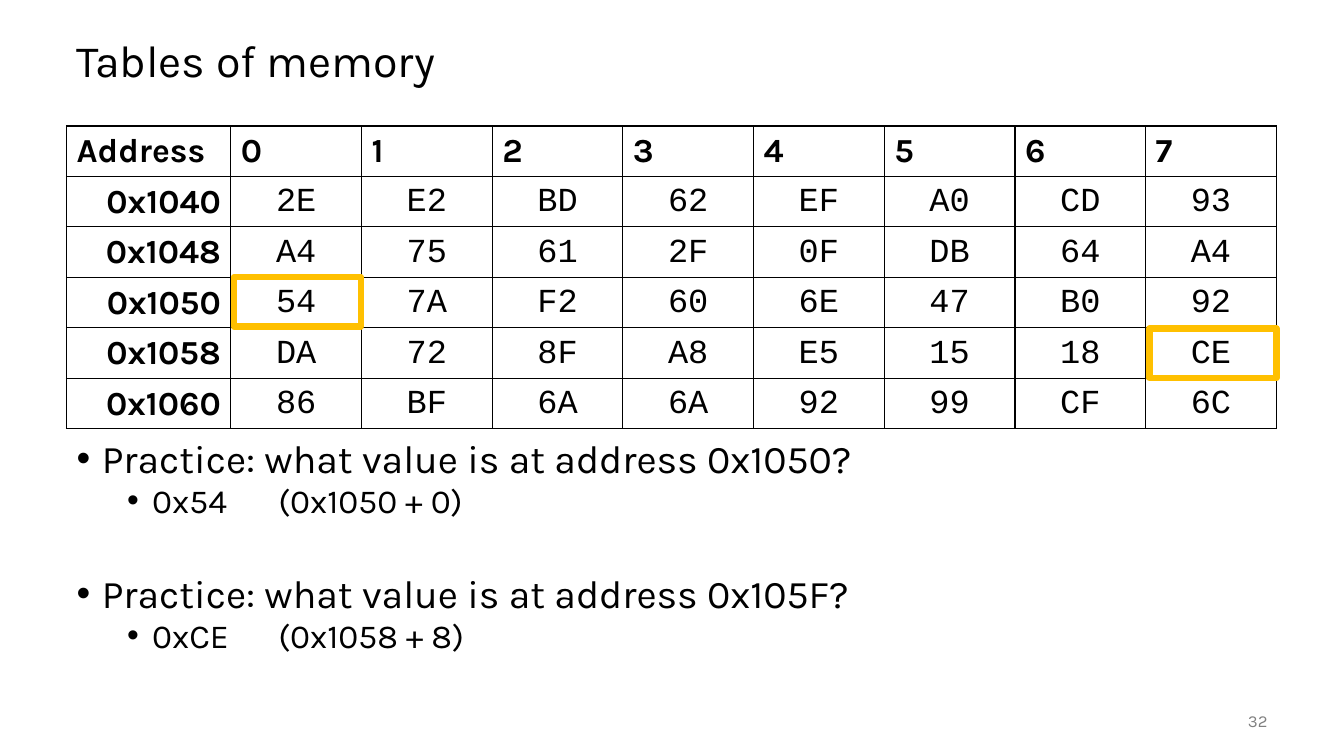
import pptx
import pptx.util
import pptx.dml.color
import pptx.enum.shapes
import pptx.enum.text
import pptx.oxml
import pptx.oxml.ns

Inches = pptx.util.Inches
Align = pptx.enum.text.PP_ALIGN
Anchor = pptx.enum.text.MSO_ANCHOR


def paint(color):
    return pptx.dml.color.RGBColor.from_string(color)


def write(para, text, size=24, font="Karla", color="000000", bold=False,
          align=Align.LEFT, line=None, before=0):
    para.alignment = align
    para.line_spacing = line
    para.space_before = pptx.util.Pt(before)
    run = para.add_run()
    run.text = text
    run.font.size = pptx.util.Pt(size)
    run.font.name = font
    run.font.bold = bold
    run.font.color.rgb = paint(color)


deck = pptx.Presentation()
deck.slide_width = Inches(13.33)
deck.slide_height = Inches(7.5)
slide = deck.slides.add_slide(deck.slide_layouts[1])
left, width = Inches(0.66), Inches(12)
ns = pptx.oxml.ns.nsdecls("a")

title = slide.shapes.title
title.left, title.top, title.width, title.height = left, Inches(0.25), width, Inches(0.75)
title.text_frame.vertical_anchor = Anchor.MIDDLE
write(title.text_frame.paragraphs[0], "Tables of memory", size=32, line=0.9)

body = slide.placeholders[1]
body.left, body.top, body.width, body.height = left, Inches(4.35), width, Inches(2.4)
frame = body.text_frame
frame.auto_size = pptx.enum.text.MSO_AUTO_SIZE.NONE
frame.vertical_anchor = Anchor.TOP
points = [
    (0, 0, "Practice: what value is at address 0x1050?"),
    (1, 5, "0x54\t(0x1050 + 0)"),
    (0, 41.4, "Practice: what value is at address 0x105F?"),
    (1, 5, "0xCE\t(0x1058 + 8)"),
]
for index, (level, before, text) in enumerate(points):
    para = frame.add_paragraph() if index else frame.paragraphs[0]
    para.level = level
    props = para._p.get_or_add_pPr()
    props.set("marL", str(Inches(0.25 + 0.5 * level)))
    props.set("indent", str(Inches(-0.25)))
    for part in ('<a:buFont %s typeface="Arial"/>' % ns,
                 '<a:buChar %s char="•"/>' % ns,
                 '<a:tabLst %s><a:tab pos="%d" algn="l"/></a:tabLst>' % (ns, Inches(2))):
        props.append(pptx.oxml.parse_xml(part))
    write(para, text, size=28 - 4 * level, line=0.8, before=before)

number = slide.shapes.add_textbox(Inches(11.67), Inches(6.95), Inches(1), Inches(0.4))
number.text_frame.word_wrap = True
number.text_frame.vertical_anchor = Anchor.MIDDLE
write(number.text_frame.paragraphs[0], "32", size=12, color="808080", align=Align.RIGHT)

rows = [line.split() for line in (
    "Address 0 1 2 3 4 5 6 7",
    "0x1040 2E E2 BD 62 EF A0 CD 93",
    "0x1048 A4 75 61 2F 0F DB 64 A4",
    "0x1050 54 7A F2 60 6E 47 B0 92",
    "0x1058 DA 72 8F A8 E5 15 18 CE",
    "0x1060 86 BF 6A 6A 92 99 CF 6C",
)]
high = Inches(0.49)
table = slide.shapes.add_table(len(rows), len(rows[0]), left, Inches(1.25),
                               width, high * len(rows)).table
table.first_row = table.horz_banding = False
first = Inches(1.63)
for col, column in enumerate(table.columns):
    column.width = (width - first) // 8 if col else first
for row, values in enumerate(rows):
    table.rows[row].height = high
    for col, value in enumerate(values):
        cell = table.cell(row, col)
        cell.vertical_anchor = Anchor.BOTTOM
        props = cell._tc.get_or_add_tcPr()
        for side in "LRTB":
            props.append(pptx.oxml.parse_xml(
                '<a:ln%s %s w="12700"><a:solidFill><a:srgbClr val="000000"/>'
                '</a:solidFill></a:ln%s>' % (side, ns, side)))
        cell.fill.background()
        data = row > 0 and col > 0
        align = Align.LEFT if row == 0 else Align.CENTER if col else Align.RIGHT
        write(cell.text_frame.paragraphs[0], value, bold=not data, align=align,
              font="Courier New" if data else "Karla")

for x, y in ((2.32, 2.75), (11.4, 3.26)):
    mark = slide.shapes.add_shape(pptx.enum.shapes.MSO_SHAPE.RECTANGLE,
                                  Inches(x), Inches(y), Inches(1.26), high)
    mark.shadow.inherit = False
    mark.fill.background()
    mark.line.color.rgb = paint("FFC000")
    mark.line.width = pptx.util.Pt(4.5)

deck.save("out.pptx")
